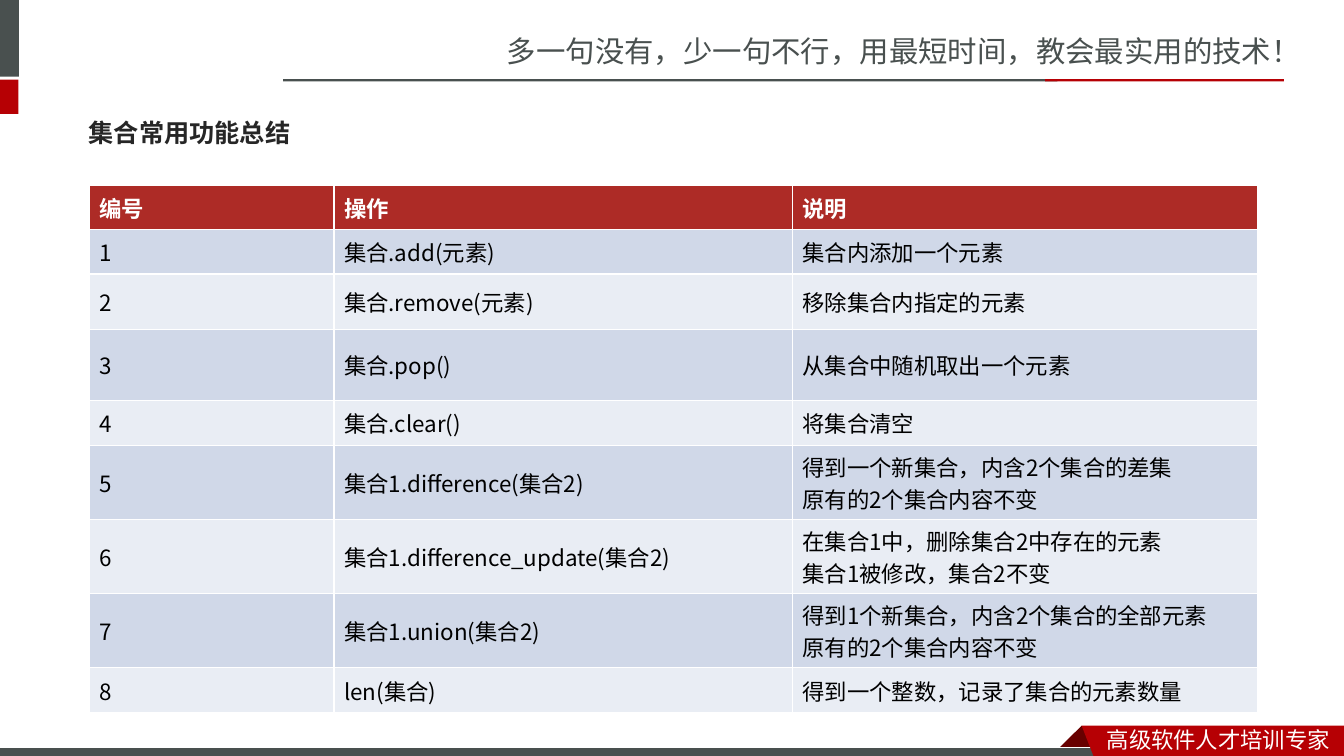
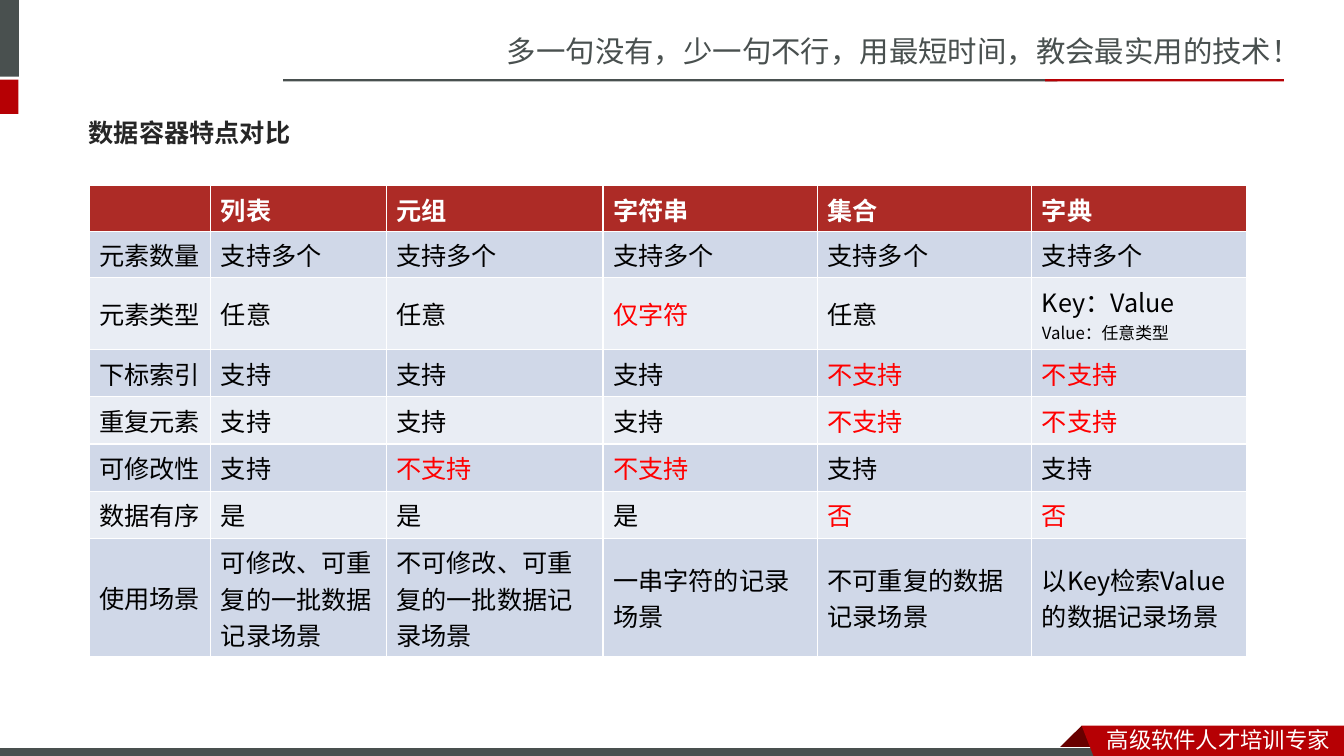
from lxml import etree
from pptx import Presentation
from pptx.dml.color import RGBColor
from pptx.enum.shapes import MSO_SHAPE
from pptx.enum.text import MSO_ANCHOR, MSO_AUTO_SIZE, PP_ALIGN
from pptx.oxml.ns import qn
from pptx.util import Pt

RECT = MSO_SHAPE.RECTANGLE
MIDDLE = MSO_ANCHOR.MIDDLE
LEFT = PP_ALIGN.LEFT
NO_AUTOFIT = MSO_AUTO_SIZE.NONE
TITLE_ONLY = 5

WHITE = RGBColor(0xFF, 0xFF, 0xFF)
BLACK = RGBColor(0, 0, 0)
INK = RGBColor(0x26, 0x26, 0x26)
GREY = RGBColor(0x49, 0x50, 0x4F)
RED = RGBColor(0xB6, 0x00, 0x04)
DARK_RED = RGBColor(0x68, 0x00, 0x00)
HEADER_RED = RGBColor(0xAD, 0x2B, 0x26)
ALERT_RED = RGBColor(0xFF, 0x00, 0x00)
BANDS = (RGBColor(0xD0, 0xD8, 0xE8), RGBColor(0xE9, 0xED, 0xF4))

BODY_FONT = "Noto Sans CJK JP"
FRAME_FONT = "Noto Sans CJK SC"

SET_ROWS = [
    ("编号", "操作", "说明"),
    ("1", "集合.add(元素)", "集合内添加一个元素"),
    ("2", "集合.remove(元素)", "移除集合内指定的元素"),
    ("3", "集合.pop()", "从集合中随机取出一个元素"),
    ("4", "集合.clear()", "将集合清空"),
    ("5", "集合1.difference(集合2)",
     "得到一个新集合，内含2个集合的差集\n原有的2个集合内容不变"),
    ("6", "集合1.difference_update(集合2)",
     "在集合1中，删除集合2中存在的元素\n集合1被修改，集合2不变"),
    ("7", "集合1.union(集合2)",
     "得到1个新集合，内含2个集合的全部元素\n原有的2个集合内容不变"),
    ("8", "len(集合)", "得到一个整数，记录了集合的元素数量"),
]

CONTAINER_ROWS = [
    ("", "列表", "元组", "字符串", "集合", "字典"),
    ("元素数量",) + ("支持多个",) * 5,
    ("元素类型", "任意", "任意", "仅字符", "任意", "Key：Value\nValue：任意类型"),
    ("下标索引", "支持", "支持", "支持", "不支持", "不支持"),
    ("重复元素", "支持", "支持", "支持", "不支持", "不支持"),
    ("可修改性", "支持", "不支持", "不支持", "支持", "支持"),
    ("数据有序", "是", "是", "是", "否", "否"),
    ("使用场景", "可修改、可重复的一批数据记录场景", "不可修改、可重复的一批数据记录场景",
     "一串字符的记录场景", "不可重复的数据记录场景", "以Key检索Value的数据记录场景"),
]


class Deck:
    """Holds the shared style and the slide being built; lengths are points."""

    def __init__(self):
        self.prs = Presentation()
        self.prs.slide_width, self.prs.slide_height = Pt(960), Pt(540)
        self.s = None

    def new_slide(self, title):
        self.s = self.prs.slides.add_slide(self.prs.slide_layouts[TITLE_ONLY])
        self.frame()
        self.title(title)

    def style(self, p, size, color, font, bold=False):
        """Format a paragraph, for Latin and East Asian characters alike."""
        p.font.size, p.font.bold, p.font.name = Pt(size), bold, font
        p.font.color.rgb = color
        latin = p._p.pPr.find(qn("a:defRPr")).find(qn("a:latin"))
        ea = etree.Element(qn("a:ea"), typeface=font)
        latin.addnext(ea)

    def paint(self, sp, fill, line=None):
        sp.shadow.inherit = False
        sp.fill.solid()
        sp.fill.fore_color.rgb = fill
        if line is None:
            sp.line.fill.background()
        else:
            sp.line.color.rgb = line
            sp.line.width = Pt(0.75)

    def bar(self, x, y, w, h, fill, line=None):
        sp = self.s.shapes.add_shape(RECT, Pt(x), Pt(y), Pt(w), Pt(h))
        self.paint(sp, fill, line)

    def polygon(self, points, fill):
        start, *rest = [(Pt(x), Pt(y)) for x, y in points]
        outline = self.s.shapes.build_freeform(*start, scale=1.0)
        outline.add_line_segments(rest, close=True)
        self.paint(outline.convert_to_shape(), fill)

    def label(self, x, y, w, h, text, size, color):
        tf = self.s.shapes.add_textbox(Pt(x), Pt(y), Pt(w), Pt(h)).text_frame
        tf.word_wrap = False
        tf.text = text
        self.style(tf.paragraphs[0], size, color, FRAME_FONT)

    def frame(self):
        """Draw the slogan, side marks, rules and bottom ribbon."""
        self.label(355, 20.2, 605, 34, "多一句没有，少一句不行，用最短时间，教会最实用的技术！", 21, GREY)
        self.bar(-4.3, 0, 17.8, 54.7, GREY)
        self.bar(-4.3, 56.9, 17.5, 24.5, RED)
        self.bar(202.3, 56.6, 553, 1.6, GREY)
        self.bar(746.6, 56.6, 170.6, 1.6, RED)
        self.polygon([(772.6, 518.4), (788.4, 534.2), (787.7, 535),
                      (757.4, 535), (756.7, 534.2)], DARK_RED)
        self.bar(-0.7, 533.8, 792, 8.4, GREY, WHITE)
        self.polygon([(772.6, 518.4), (960, 518.4), (960, 542.9),
                      (781.9, 542.2)], RED)
        self.label(783.4, 514.8, 176.4, 26.6, "高级软件人才培训专家", 16, WHITE)

    def title(self, text):
        sp = self.s.shapes.title
        sp.left, sp.top, sp.width, sp.height = Pt(56.2), Pt(74.2), Pt(842.4), Pt(41)
        tf = sp.text_frame
        tf.auto_size, tf.vertical_anchor = NO_AUTOFIT, MIDDLE
        tf.text = text
        p = tf.paragraphs[0]
        p.alignment = LEFT
        self.style(p, 18, INK, BODY_FONT, bold=True)

    def table(self, rows, widths, heights, size, alerts=(), notes=()):
        """Add a banded table; alerts are red lines, notes are 12 pt lines."""
        table = self.s.shapes.add_table(
            len(rows), len(widths), Pt(63.6), Pt(132.7),
            Pt(sum(widths)), Pt(sum(heights))).table
        for column, width in zip(table.columns, widths):
            column.width = Pt(width)
        for i, (row, height) in enumerate(zip(rows, heights)):
            table.rows[i].height = Pt(height)
            header = i == 0
            for j, text in enumerate(row):
                cell = table.cell(i, j)
                cell.vertical_anchor = MIDDLE
                cell.fill.solid()
                cell.fill.fore_color.rgb = HEADER_RED if header else BANDS[(i - 1) % 2]
                cell.text_frame.text = text
                for p in cell.text_frame.paragraphs:
                    color = ALERT_RED if p.text in alerts else BLACK
                    self.style(p, 12 if p.text in notes else size,
                               WHITE if header else color, BODY_FONT, header)


def main():
    deck = Deck()

    deck.new_slide("集合常用功能总结")
    deck.table(SET_ROWS, [175, 327.5, 332],
               [31, 32, 40, 50.5, 32, 53, 53, 53, 32], 16)

    deck.new_slide("数据容器特点对比")
    deck.table(CONTAINER_ROWS, [87, 125.3, 154.8] + [153.2] * 3,
               [32.7, 33, 51.4] + [33.7] * 4 + [84.3], 18,
               alerts={"仅字符", "不支持", "否"}, notes={"Value：任意类型"})

    deck.prs.save("out.pptx")


if __name__ == "__main__":
    main()
